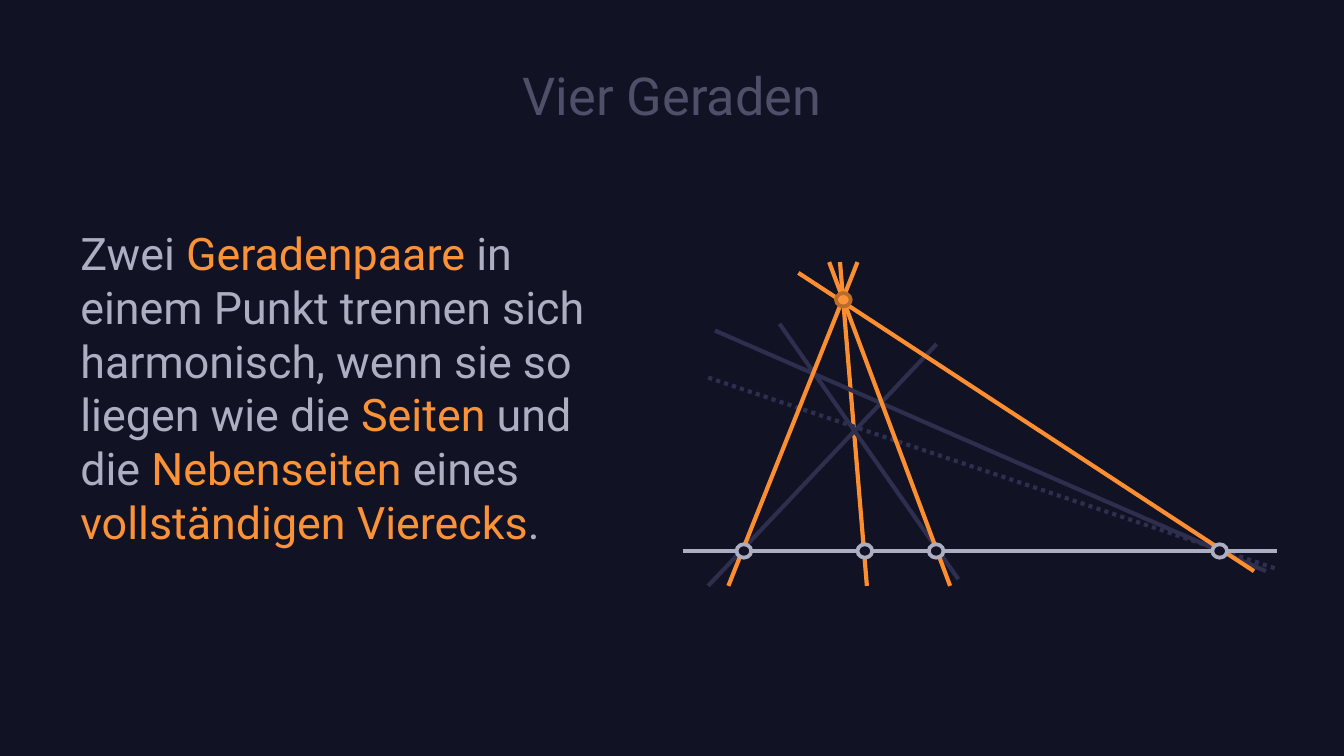
from typing import NamedTuple

from lxml import etree
from pptx import Presentation
from pptx.dml.color import RGBColor
from pptx.enum.dml import MSO_LINE
from pptx.enum.shapes import MSO_CONNECTOR, MSO_SHAPE
from pptx.enum.text import MSO_ANCHOR, PP_ALIGN
from pptx.oxml.ns import qn
from pptx.shapes.shapetree import GroupShapes, SlideShapes
from pptx.text.text import TextFrame
from pptx.util import Pt

STRAIGHT = MSO_CONNECTOR.STRAIGHT
ELLIPSE = MSO_SHAPE.OVAL
DOTTED = MSO_LINE.ROUND_DOT
TOP, MIDDLE = MSO_ANCHOR.TOP, MSO_ANCHOR.MIDDLE
CENTER = PP_ALIGN.CENTER

NIGHT = RGBColor(0x11, 0x12, 0x24)
TITLE_GREY = RGBColor(0x4F, 0x4F, 0x69)
INDIGO = RGBColor(0x2E, 0x2F, 0x4E)
SILVER = RGBColor(0xAE, 0xAE, 0xC2)
ORANGE = RGBColor(0xFB, 0x92, 0x37)
RAY_ORANGE = RGBColor(0xFA, 0x8E, 0x31)
BROWN = RGBColor(0xBA, 0x6C, 0x29)

FONT = "Roboto"
POINT_WIDTH, POINT_HEIGHT = 7.9, 7.2
BASE_Y = 295.2
RAY_TOP, RAY_BOTTOM = 140.4, 313.9


class Segment(NamedTuple):
    x1: float
    y1: float
    x2: float
    y2: float
    color: RGBColor
    width: float = 2.25
    dotted: bool = False


class Point(NamedTuple):
    x: float
    y: float
    fill: RGBColor
    outline: RGBColor


class Span(NamedTuple):
    text: str
    color: RGBColor


SEGMENTS = [
    Segment(450, RAY_TOP, 464.4, RAY_BOTTOM, RAY_ORANGE),
    # Sides and diagonals of the quadrilateral
    Segment(501.8, 184.3, 379.4, RAY_BOTTOM, INDIGO),
    Segment(417.6, 173.5, 513.4, 310.3, INDIGO),
    Segment(379.4, 202.3, 683.3, 304.6, INDIGO, dotted=True),
    Segment(383, 177.1, 678.2, 306, INDIGO),
    # Remaining lines through the apex
    Segment(459.4, RAY_TOP, 390.2, RAY_BOTTOM, RAY_ORANGE),
    Segment(444.2, RAY_TOP, 509, RAY_BOTTOM, RAY_ORANGE),
    Segment(427.7, 146.2, 671.8, 306, RAY_ORANGE),
    # Base line
    Segment(365.8, BASE_Y, 684, BASE_Y, SILVER, width=2),
]

POINTS = [Point(451.8, 160.6, ORANGE, BROWN)] + [
    Point(x, BASE_Y, NIGHT, SILVER) for x in (653.4, 501.5, 463.3, 398.5)
]

STATEMENT = [
    Span("Zwei ", SILVER),
    Span("Geradenpaare ", ORANGE),
    Span("in einem Punkt trennen sich harmonisch, wenn sie so liegen wie die ", SILVER),
    Span("Seiten ", ORANGE),
    Span("und die ", SILVER),
    Span("Nebenseiten ", ORANGE),
    Span("eines ", SILVER),
    Span("vollständigen Vierecks", ORANGE),
    Span(".", SILVER),
]


def draw_segment(shapes: GroupShapes, segment: Segment) -> None:
    connector = shapes.add_connector(
        STRAIGHT, Pt(segment.x1), Pt(segment.y1), Pt(segment.x2), Pt(segment.y2)
    )
    connector.line.color.rgb = segment.color
    connector.line.width = Pt(segment.width)
    if segment.dotted:
        connector.line.dash_style = DOTTED
    properties = connector._element.find(qn("p:spPr"))
    etree.SubElement(properties, qn("a:effectLst"))


def draw_point(shapes: GroupShapes, point: Point) -> None:
    shape = shapes.add_shape(
        ELLIPSE,
        Pt(point.x - POINT_WIDTH / 2),
        Pt(point.y - POINT_HEIGHT / 2),
        Pt(POINT_WIDTH),
        Pt(POINT_HEIGHT),
    )
    shape.shadow.inherit = False
    shape.fill.solid()
    shape.fill.fore_color.rgb = point.fill
    shape.line.color.rgb = point.outline
    shape.line.width = Pt(2)


def add_text(
    shapes: SlideShapes,
    left: float,
    top: float,
    width: float,
    height: float,
    spans: list[Span],
    size: float,
    anchor: MSO_ANCHOR = TOP,
) -> TextFrame:
    text_frame = shapes.add_textbox(Pt(left), Pt(top), Pt(width), Pt(height)).text_frame
    text_frame.word_wrap = True
    text_frame.vertical_anchor = anchor
    for span in spans:
        run = text_frame.paragraphs[0].add_run()
        run.text = span.text
        run.font.name = FONT
        run.font.size = Pt(size)
        run.font.color.rgb = span.color
    return text_frame


def main() -> None:
    presentation = Presentation()
    presentation.slide_width, presentation.slide_height = Pt(720), Pt(405)
    slide = presentation.slides.add_slide(presentation.slide_layouts[6])
    slide.background.fill.solid()
    slide.background.fill.fore_color.rgb = NIGHT

    # Title
    title = add_text(
        slide.shapes, 36, 16.6, 648, 67.6, [Span("Vier Geraden", TITLE_GREY)], 28, MIDDLE
    )
    title.paragraphs[0].alignment = CENTER

    # Geometric figure
    figure = slide.shapes.add_group_shape()
    for segment in SEGMENTS:
        draw_segment(figure.shapes, segment)
    for point in POINTS:
        draw_point(figure.shapes, point)

    # Statement
    add_text(slide.shapes, 36, 117.4, 306.7, 188.6, STATEMENT, 24)

    presentation.save("out.pptx")


if __name__ == "__main__":
    main()
